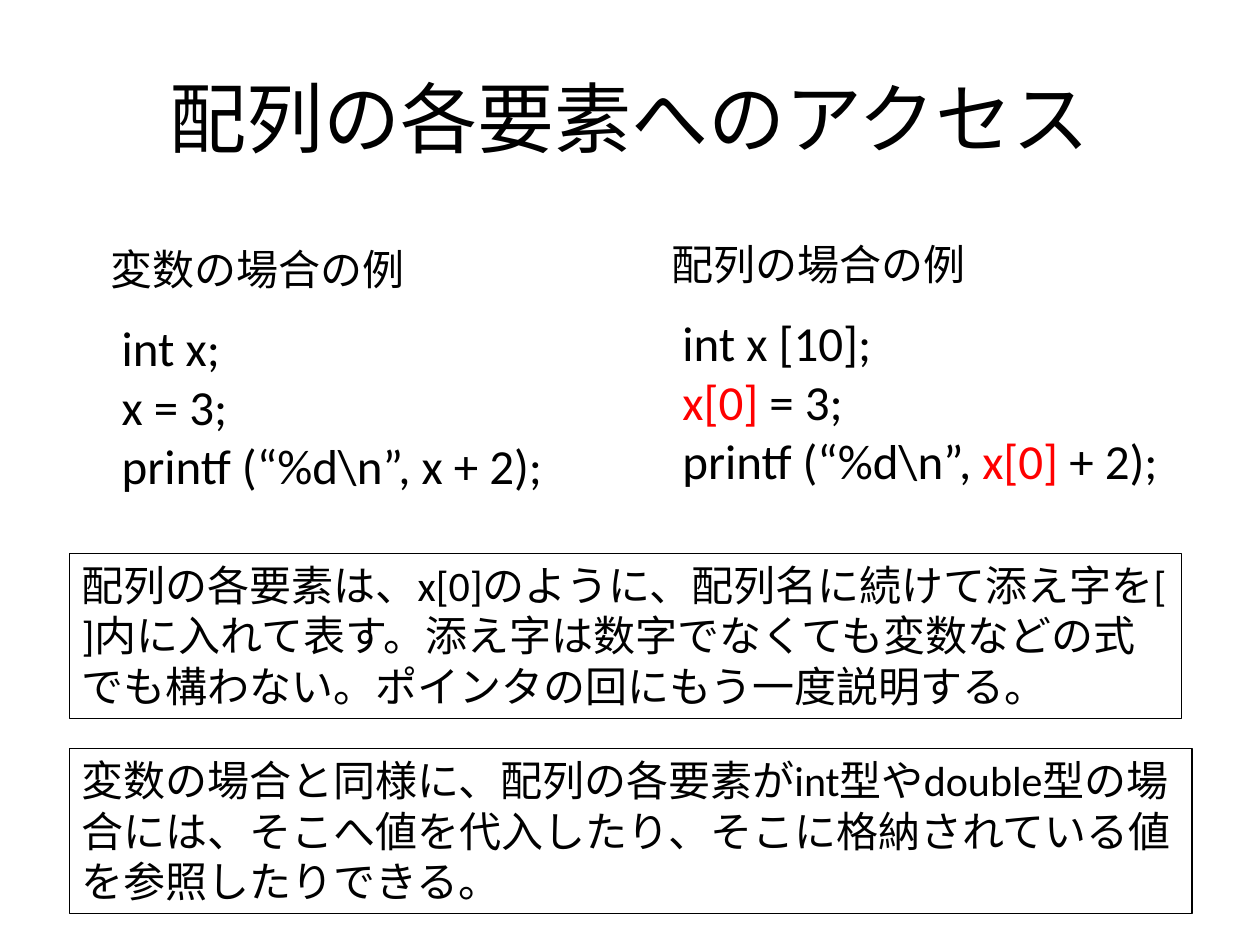
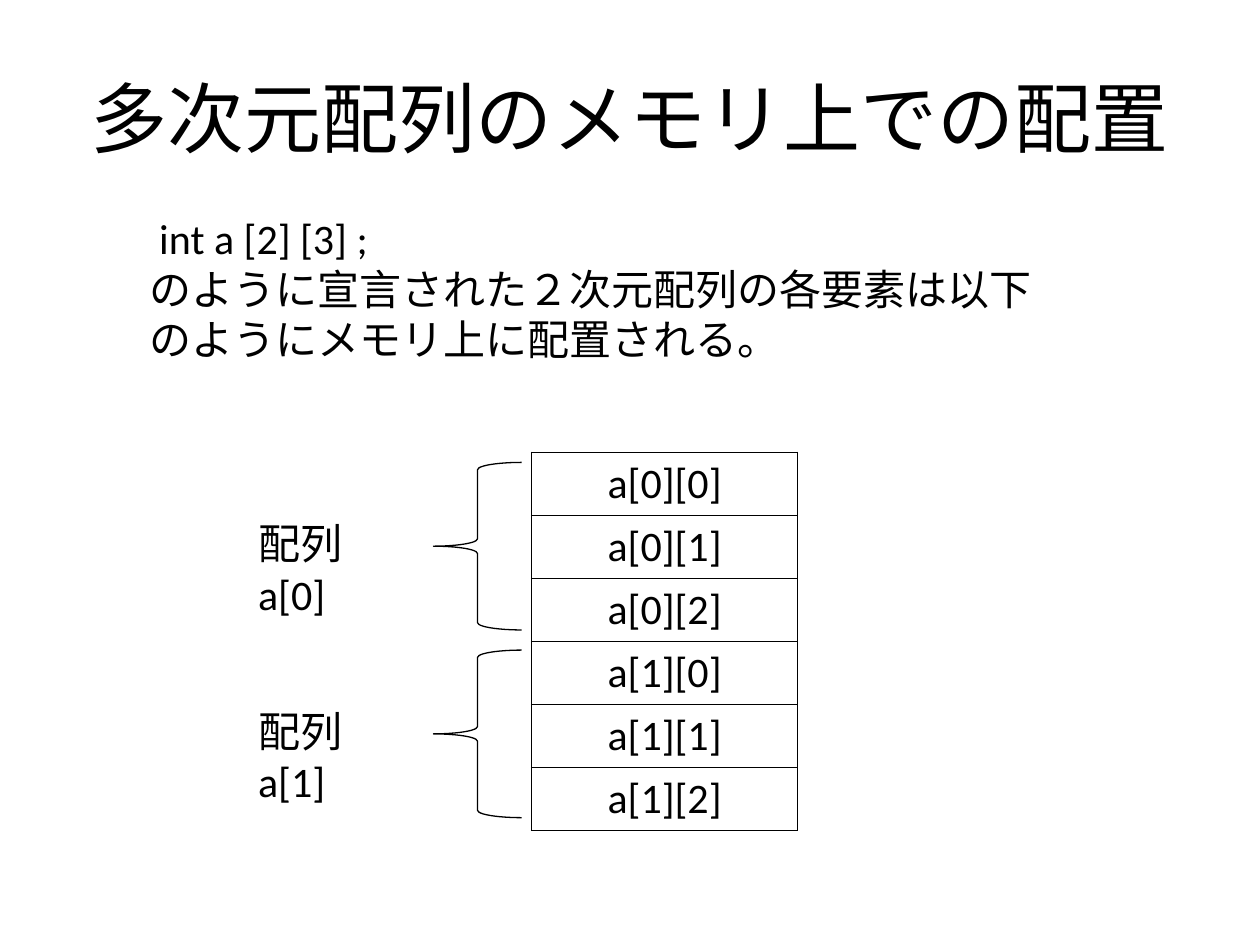
from dataclasses import dataclass

from lxml import etree
from pptx import Presentation
from pptx import util as u
from pptx.dml.color import RGBColor
from pptx.enum import shapes, text
from pptx.oxml import ns


@dataclass(frozen=True)
class Theme:
    font: str = "Calibri"
    ink: str = "000000"
    paper: str = "FFFFFF"
    accent: str = "FF0000"
    title: int = 44
    code: int = 28
    body: int = 24
    rule: float = 0.75
    grid: float = 1


T = Theme()
LEFT, CENTER = text.PP_ALIGN.LEFT, text.PP_ALIGN.CENTER


def inches(*lengths):
    return [u.Inches(v) for v in lengths]


def format_run(r, size, color=T.ink):
    r.font.name = T.font
    r.font.size = u.Pt(size)
    r.font.color.rgb = RGBColor.from_string(color)


def write(tf, lines, size, align=LEFT, accent=None):
    tf.text = "\n".join(lines)
    for p in tf.paragraphs:
        p.alignment = align
        if accent and accent in p.text:
            before, after = p.text.split(accent)
            p.text = ""
            for part, color in ((before, T.ink), (accent, T.accent), (after, T.ink)):
                r = p.add_run()
                r.text = part
                format_run(r, size, color)
        else:
            for r in p.runs:
                format_run(r, size)


def add_text(s, box, lines, size, wrap=False, accent=None):
    tf = s.shapes.add_textbox(*inches(*box)).text_frame
    write(tf, lines, size, accent=accent)
    tf.word_wrap = wrap
    tf.auto_size = text.MSO_AUTO_SIZE.SHAPE_TO_FIT_TEXT
    return tf


def add_outline(s, kind, box):
    sp = s.shapes.add_shape(kind, *inches(*box))
    sp.shadow.inherit = False
    sp.fill.background()
    sp.line.color.rgb = RGBColor.from_string(T.ink)
    sp.line.width = u.Pt(T.rule)
    return sp


def add_note(s, box, line):
    tf = add_outline(s, shapes.MSO_SHAPE.RECTANGLE, box).text_frame
    write(tf, [line], T.body)
    tf.word_wrap = True
    tf.vertical_anchor = text.MSO_ANCHOR.TOP
    tf.auto_size = text.MSO_AUTO_SIZE.SHAPE_TO_FIT_TEXT


def add_titled_slide(prs, title):
    s = prs.slides.add_slide(prs.slide_layouts[5])
    s.background.fill.solid()
    s.background.fill.fore_color.rgb = RGBColor.from_string(T.paper)
    sp = s.shapes.title
    sp.left, sp.top, sp.width, sp.height = inches(0.5, 0.3, 9, 1.25)
    write(sp.text_frame, [title], T.title, CENTER)
    sp.text_frame.vertical_anchor = text.MSO_ANCHOR.MIDDLE
    return s


def add_example(s, box, heading, code, accent=None):
    x, y, w, h = box
    add_text(s, (x, y, 2.56, 0.5), [heading], T.body)
    add_text(s, (x, y + 0.59, w, h - 0.59), code, T.code, accent=accent)


def set_borders(cell):
    tc_pr = cell._tc.get_or_add_tcPr()
    for i, side in enumerate(("a:lnL", "a:lnR", "a:lnT", "a:lnB")):
        ln = etree.Element(ns.qn(side), w=str(u.Pt(T.grid)))
        fill = etree.SubElement(ln, ns.qn("a:solidFill"))
        etree.SubElement(fill, ns.qn("a:srgbClr"), val=T.ink)
        tc_pr.insert(i, ln)


def add_memory(s, box, names):
    x, y, w, h = inches(*box)
    table = s.shapes.add_table(len(names), 1, x, y, w, h).table
    table.first_row = table.horz_banding = False
    for i, name in enumerate(names):
        cell = table.cell(i, 0)
        cell.fill.background()
        write(cell.text_frame, [name], T.body, CENTER)
        set_borders(cell)


def add_group_label(s, box, label):
    x, y, w, h = box
    add_outline(s, shapes.MSO_SHAPE.LEFT_BRACE, (x + 1.49, y, w - 1.49, h))
    tf = add_text(s, (x, y + 0.39, 1.49, 0.5), [label], T.body, wrap=True)
    tf.margin_right = u.Inches(0.3)


def access_slide(prs):
    s = add_titled_slide(prs, "配列の各要素へのアクセス")
    add_example(s, (0.78, 1.88, 3.73, 2.1), "変数の場合の例",
                [" int x;", " x = 3;", " printf (“%d\\n”, x + 2);"])
    add_example(s, (5.23, 1.84, 4.26, 2.1), "配列の場合の例",
                [" int x [10];", " x[0] = 3;", " printf (“%d\\n”, x[0] + 2);"],
                accent="x[0]")
    add_note(s, (0.55, 4.39, 8.83, 1.31),
             "配列の各要素は、x[0]のように、配列名に続けて添え字を[ ]内に入れて表す。"
             "添え字は数字でなくても変数などの式でも構わない。ポインタの回にもう一度説明する。")
    add_note(s, (0.55, 5.94, 8.91, 1.31),
             "変数の場合と同様に、配列の各要素がint型やdouble型の場合には、"
             "そこへ値を代入したり、そこに格納されている値を参照したりできる。")


def layout_slide(prs, rows=2, cols=3):
    s = add_titled_slide(prs, "多次元配列のメモリ上での配置")
    add_text(s, (1.09, 1.64, 7.27, 1.31),
             [" int a [2] [3] ;",
              "のように宣言された２次元配列の各要素は以下のようにメモリ上に配置される。"],
             T.body, wrap=True)
    names = [f"a[{i}][{j}]" for i in range(rows) for j in range(cols)]
    add_memory(s, (4.22, 3.59, 2.11, 0.5 * len(names)), names)
    for i in range(rows):
        add_group_label(s, (1.95, 3.67 + 1.49 * i, 2.19, 1.33), f"配列 a[{i}]")


def main():
    prs = Presentation()
    prs.slide_width, prs.slide_height = inches(10, 7.5)
    access_slide(prs)
    layout_slide(prs)
    prs.save("out.pptx")


if __name__ == "__main__":
    main()
